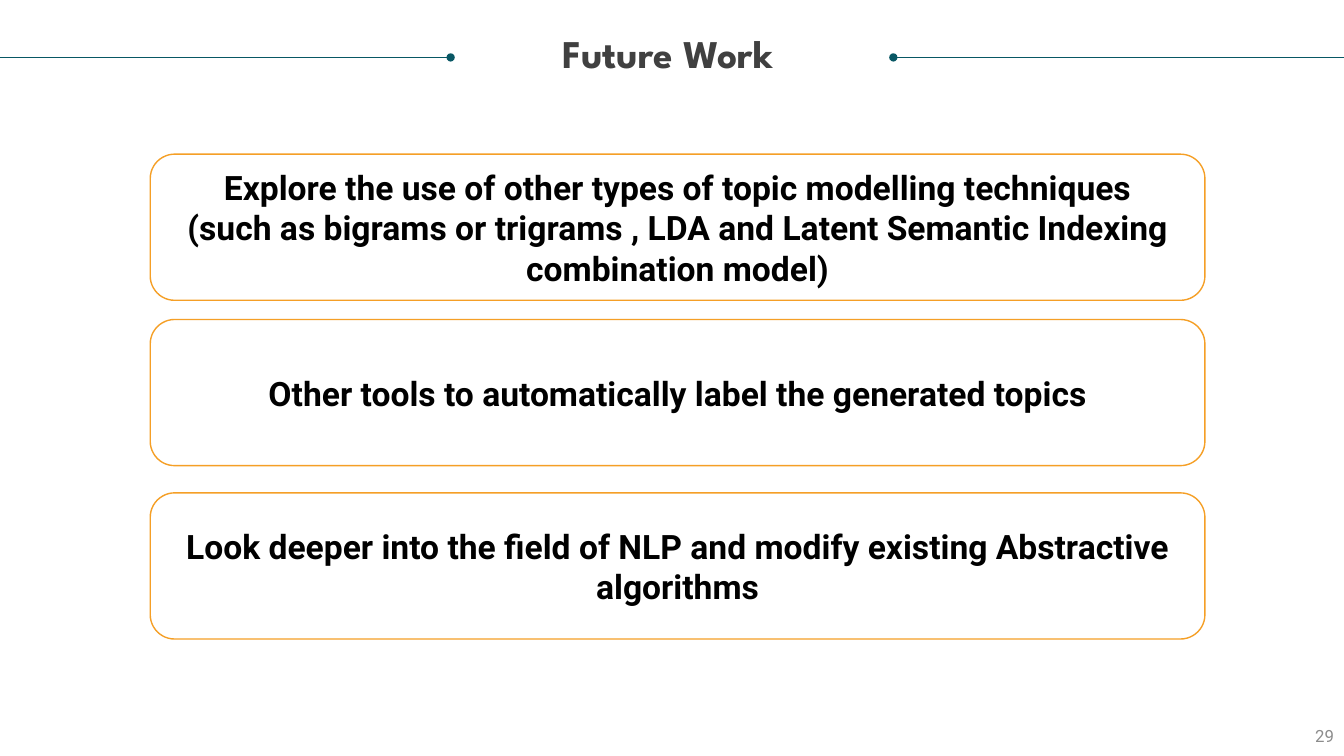
"""Build the Future Work slide: a ruled title above three outlined cards."""
from lxml.etree import SubElement
from pptx import Presentation
from pptx.dml.color import RGBColor
from pptx.enum.shapes import MSO_CONNECTOR, MSO_SHAPE
from pptx.enum.text import MSO_ANCHOR as ANCHOR, PP_ALIGN as ALIGN
from pptx.oxml.ns import qn
from pptx.util import Inches, Pt

deck = Presentation()
deck.slide_width, deck.slide_height = Inches(13.33), Inches(7.5)
column, row = deck.slide_width / 100, deck.slide_height / 100
slide = deck.slides.add_slide(deck.slide_layouts[6])
shapes = slide.shapes


def paint(target, color):
    target.fill.solid()
    target.fill.fore_color.rgb = RGBColor.from_string(color)


def write(holder, text, size, color, font="Roboto", bold=False, align=ALIGN.CENTER,
          anchor=ANCHOR.MIDDLE, spacing=1.0, inset=None):
    frame = holder.text_frame
    frame.word_wrap = True
    frame.vertical_anchor = anchor
    if inset is not None:
        frame.margin_left = frame.margin_right = inset
        frame.margin_top = frame.margin_bottom = inset
    frame.text = text
    for paragraph in frame.paragraphs:
        paragraph.alignment = align
        paragraph.line_spacing = spacing
        paragraph.font.name, paragraph.font.size, paragraph.font.bold = font, Pt(size), bold
        paint(paragraph.font, color)


rule_y = int(7.6 * row)
for edge, dot in [(0, 33.53), (100, 66.47)]:
    rule = shapes.add_connector(MSO_CONNECTOR.STRAIGHT, int(edge * column), rule_y,
                                int(dot * column), rule_y)
    paint(rule.line, "085764")
    rule.line.width = Pt(0.5)
    outline = rule.line._get_or_add_ln()
    SubElement(outline, qn("a:tailEnd"), type="oval")
    SubElement(outline.getparent(), qn("a:effectLst"))

title = shapes.add_textbox(int(1.58 * column), int(4.53 * row), int(96.25 * column), int(5.6 * row))
write(title, "Future Work", 28, "404040", font="League Spartan", bold=True,
      anchor=ANCHOR.TOP, spacing=0.9, inset=0)

page_number = shapes.add_textbox(int(77.49 * column), int(94.67 * row),
                                 int(22.51 * column), int(5.33 * row))
write(page_number, "29", 12, "8C8C8C", align=ALIGN.RIGHT)

plans = [
    (20.4, "Explore the use of other types of topic modelling techniques\n"
           "(such as bigrams or trigrams , LDA and Latent Semantic Indexing combination model)"),
    (42.27, "Other tools to automatically label the generated topics"),
    (65.2, "Look deeper into the field of NLP and modify existing Abstractive algorithms"),
]
for top, plan in plans:
    card = shapes.add_shape(MSO_SHAPE.ROUNDED_RECTANGLE, int(11.18 * column), int(top * row),
                            int(78.47 * column), int(19.33 * row))
    card.shadow.inherit = False
    paint(card, "FFFFFF")
    paint(card.line, "F59F26")
    card.line.width = Pt(1)
    write(card, plan, 24, "000000", bold=True)

deck.save("out.pptx")
